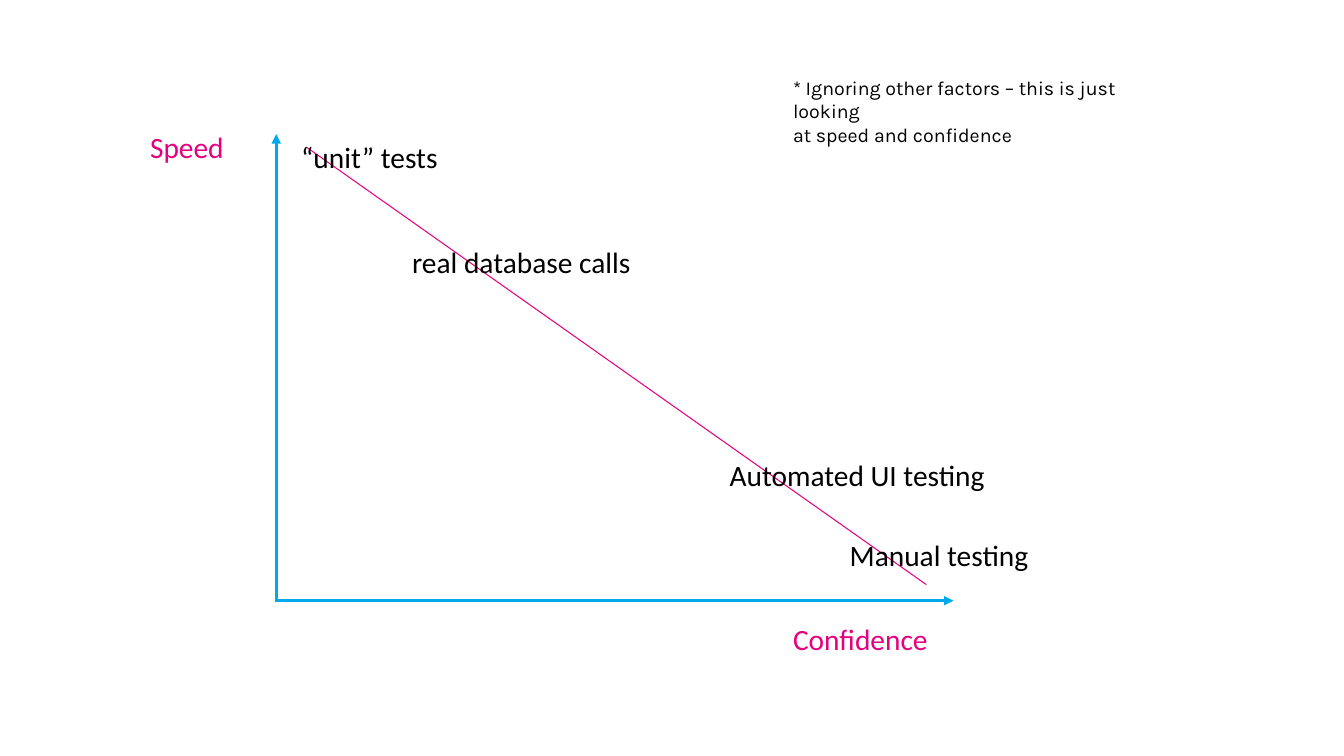
from pptx import Presentation
from pptx.dml.color import RGBColor
from pptx.enum.shapes import MSO_CONNECTOR
from pptx.oxml.ns import qn
from pptx.util import Pt
from lxml import etree

STRAIGHT = MSO_CONNECTOR.STRAIGHT
PINK, BLUE, BLACK = "E5007E", "00AAEA", "000000"


def color(hex_code):
    return RGBColor.from_string(hex_code)


deck = Presentation()
deck.slide_width, deck.slide_height = Pt(960), Pt(540)
page = deck.slides.add_slide(deck.slide_layouts[6])

# Trend line and the two axes: start, end, colour, width, arrowhead
lines = [
    ((218.9, 105.1), (661.7, 417.6), PINK, 0.75, False),
    ((197.3, 429.8), (197.3, 95.8), BLUE, 2.25, True),
    ((196.6, 429.1), (681.1, 429.1), BLUE, 2.25, True),
]
for start, end, line_color, width, has_arrow in lines:
    connector = page.shapes.add_connector(
        STRAIGHT, *[Pt(value) for value in start + end])
    connector.line.color.rgb = color(line_color)
    connector.line.width = Pt(width)
    if has_arrow:
        outline = connector.line._get_or_add_ln()
        etree.SubElement(outline, qn("a:tailEnd"), type="triangle")
    etree.SubElement(connector._element.spPr, qn("a:effectLst"))

# Axis titles, test kinds and the note: left, top, width, height, font, size, colour
labels = [
    (["Speed"], 100.1, 88.6, 82.8, 32.4, "Calibri", 21, PINK),
    (["Confidence"], 559.4, 439.9, 128.2, 32.4, "Calibri", 21, PINK),
    (["Automated UI testing"], 514.1, 322.6, 235.4, 32.4, "Calibri", 21, BLACK),
    (["Manual testing"], 599.8, 380.2, 167, 32.4, "Calibri", 21, BLACK),
    (["* Ignoring other factors – this is just looking", "at speed and confidence"],
     559.4, 50.4, 288, 41, "Karla", 14, BLACK),
    (["“unit” tests"], 208.1, 95.8, 129.6, 32.4, "Calibri", 21, BLACK),
    (["real database calls"], 287.3, 170.6, 224.6, 32.4, "Calibri", 21, BLACK),
]
for texts, left, top, width, height, font_name, size, text_color in labels:
    box = page.shapes.add_textbox(Pt(left), Pt(top), Pt(width), Pt(height))
    frame = box.text_frame
    frame.word_wrap = True
    for index, text in enumerate(texts):
        para = frame.add_paragraph() if index else frame.paragraphs[0]
        span = para.add_run()
        span.text = text
        span.font.name = font_name
        span.font.size = Pt(size)
        span.font.color.rgb = color(text_color)

deck.save("out.pptx")
